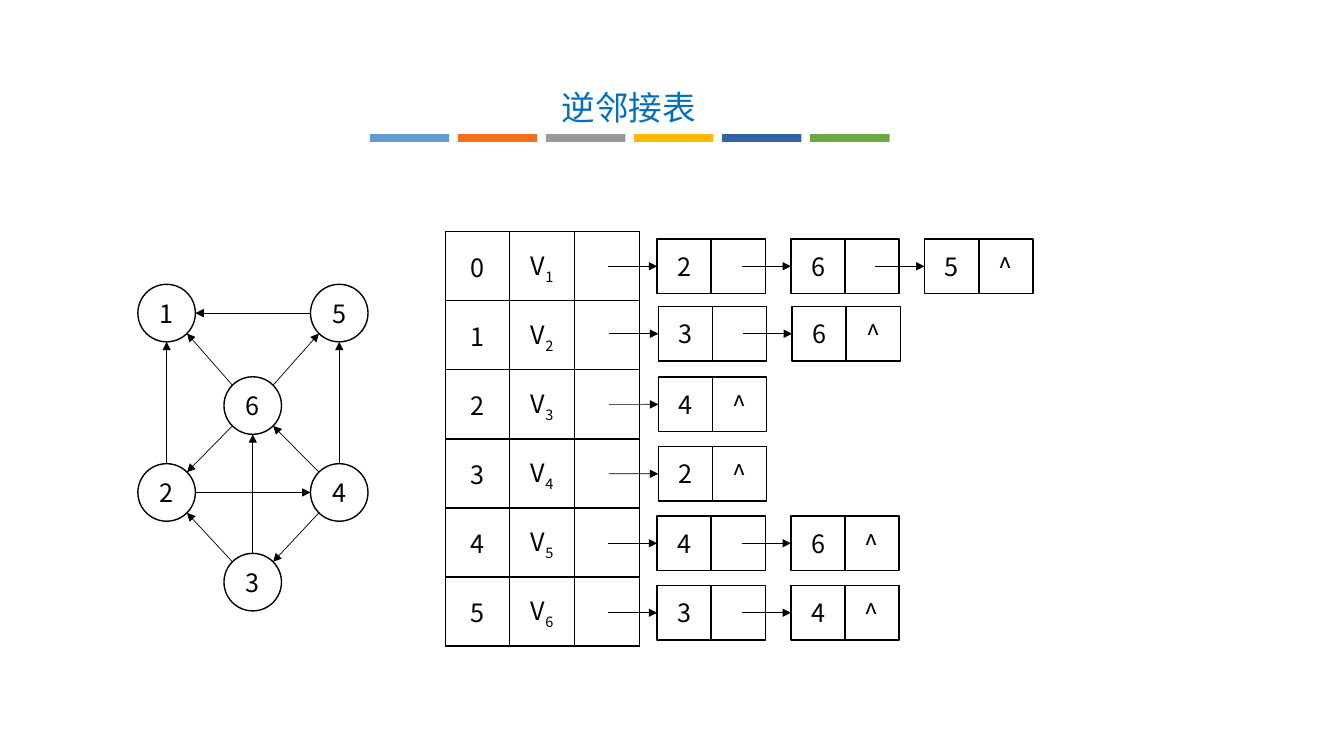
import dataclasses

import lxml.etree
import pptx
import pptx.dml.color
import pptx.enum.shapes
import pptx.enum.text
import pptx.oxml.ns
import pptx.util

Cm = pptx.util.Cm
Pt = pptx.util.Pt
RGB = pptx.dml.color.RGBColor.from_string
Kind = pptx.enum.shapes.MSO_SHAPE
Anchor = pptx.enum.text.MSO_ANCHOR
qn = pptx.oxml.ns.qn


@dataclasses.dataclass(frozen=True)
class Theme:
    ink: str = "000000"
    title: str = "0070C0"
    bars: tuple = ("629BD2", "F66D1F", "999999", "FFBA00", "3362A8", "6BA843")
    graph: str = "Noto Sans CJK SC"
    chain: str = "Noto Sans CJK JP"
    head: int = 24
    body: int = 18
    edge: float = 1
    thin: float = 0.5


theme = Theme()
inset = {"margin_left": 0, "margin_right": 0, "margin_top": 0, "margin_bottom": 0,
         "vertical_anchor": Anchor.MIDDLE, "word_wrap": False}


def write(frame, text, face, size=theme.body, color=theme.ink, sub=""):
    """Put centred text into a frame, with an optional subscript after it."""
    line = frame.paragraphs[0]
    line.alignment = pptx.enum.text.PP_ALIGN.CENTER
    for part in filter(None, (text, sub)):
        run = line.add_run()
        run.text = part
        for name, value in {"name": face, "size": Pt(size)}.items():
            setattr(run.font, name, value)
        run.font.color.rgb = RGB(color)
        props = run.font._element
        lxml.etree.SubElement(props, qn("a:ea"), typeface=face)
        if part is sub:
            props.set("baseline", "-25000")


def arrow(x1, y1, x2, y2, goal=None):
    """Draw an arrow in cm; goal is a rectangle whose left side it joins."""
    link = slide.shapes.add_connector(
        pptx.enum.shapes.MSO_CONNECTOR.STRAIGHT, Cm(x1), Cm(y1), Cm(x2), Cm(y2))
    if goal is not None:
        link.end_connect(goal, 1)
    link.line.color.rgb = RGB(theme.ink)
    link.line.width = Pt(theme.thin)
    lxml.etree.SubElement(link.line._get_or_add_ln(), qn("a:tailEnd"), type="triangle")
    lxml.etree.SubElement(link._element.spPr, qn("a:effectLst"))


deck = pptx.Presentation()
deck.slide_width, deck.slide_height = Cm(33.87), Cm(19.05)
slide = deck.slides.add_slide(deck.slide_layouts[6])

# Title and coloured bars
for i, color in enumerate(theme.bars):
    bar = slide.shapes.add_shape(
        Kind.RECTANGLE, Cm(9.32 + 2.22 * i), Cm(3.38), Cm(2), Cm(0.2))
    bar.shadow.inherit = False
    bar.fill.solid()
    bar.fill.fore_color.rgb = RGB(color)
    bar.line.fill.background()

title = slide.shapes.add_textbox(Cm(9.27), Cm(2.06), Cm(13.16), Cm(1.27))
title.text_frame.word_wrap = True
write(title.text_frame, "逆邻接表", theme.chain, theme.head, theme.title)

# Vertex table
count = 6
table = slide.shapes.add_table(
    count, 3, Cm(11.22), Cm(5.84), Cm(4.89), Cm(10.44)).table
table.first_row = table.horz_banding = False
for col in table.columns:
    col.width = Cm(1.63)
for i, row in enumerate(table.rows):
    row.height = Cm(1.74)
    labels = ((str(i), ""), ("V", str(i + 1)), ("", ""))
    for cell, (text, sub) in zip(row.cells, labels):
        cell.vertical_anchor = Anchor.MIDDLE
        write(cell.text_frame, text, theme.graph, sub=sub)
        props = cell._tc.get_or_add_tcPr()
        for side in ("lnL", "lnR", "lnT", "lnB"):
            rule = lxml.etree.SubElement(props, qn(f"a:{side}"), w=str(Pt(theme.edge)))
            fill = lxml.etree.SubElement(rule, qn("a:solidFill"))
            lxml.etree.SubElement(fill, qn("a:srgbClr"), val=theme.ink)
        cell.fill.background()

# Graph vertices as (column, row) on a loose grid
cols = (4.2, 6.37, 8.55)
rows = (7.89, 10.22, 12.41, 14.67)
nodes = {"1": (0, 0), "5": (2, 0), "2": (0, 2), "4": (2, 2), "6": (1, 1), "3": (1, 3)}
edges = ("43", "32", "21", "45", "51", "46", "65", "62", "61", "24", "36")
disc = 1.45
figures = [(Kind.OVAL, cols[c], rows[r], disc, key, theme.graph, False)
           for key, (c, r) in nodes.items()]

# Linked lists: left edge, middle height, keys
chains = ((16.56, 6.71, "265"), (16.59, 8.41, "36"), (16.59, 10.19, "4"),
          (16.59, 11.94, "2"), (16.56, 13.69, "46"), (16.56, 15.44, "34"))
side, step, pitch, reach = 1.37, 1.36, 3.37, 1.24
for left, mid, keys in chains:
    for i, key in enumerate(keys):
        x = left + pitch * i + side / 2
        mark = "^" if i == len(keys) - 1 else ""
        figures.append((Kind.RECTANGLE, x, mid, side, key, theme.chain, True))
        figures.append((Kind.RECTANGLE, x + step, mid, side, mark, theme.chain, False))

for kind, x, y, size, text, face, linked in figures:
    shape = slide.shapes.add_shape(
        kind, Cm(x - size / 2), Cm(y - size / 2), Cm(size), Cm(size))
    shape.shadow.inherit = False
    shape.fill.background()
    shape.line.color.rgb = RGB(theme.ink)
    shape.line.width = Pt(theme.edge)
    for name, value in inset.items():
        setattr(shape.text_frame, name, value)
    if text:
        write(shape.text_frame, text, face)
    if linked:
        start = x - size / 2
        arrow(start - reach, y, start, y, shape)

# Each edge leaves and enters on the rim, in one of eight directions
for tail, head in edges:
    (c1, r1), (c2, r2) = nodes[tail], nodes[head]
    dx = (c2 > c1) - (c2 < c1)
    dy = (r2 > r1) - (r2 < r1)
    rim = disc / 2 / (dx * dx + dy * dy) ** 0.5
    arrow(cols[c1] + dx * rim, rows[r1] + dy * rim,
          cols[c2] - dx * rim, rows[r2] - dy * rim)

deck.save("out.pptx")
